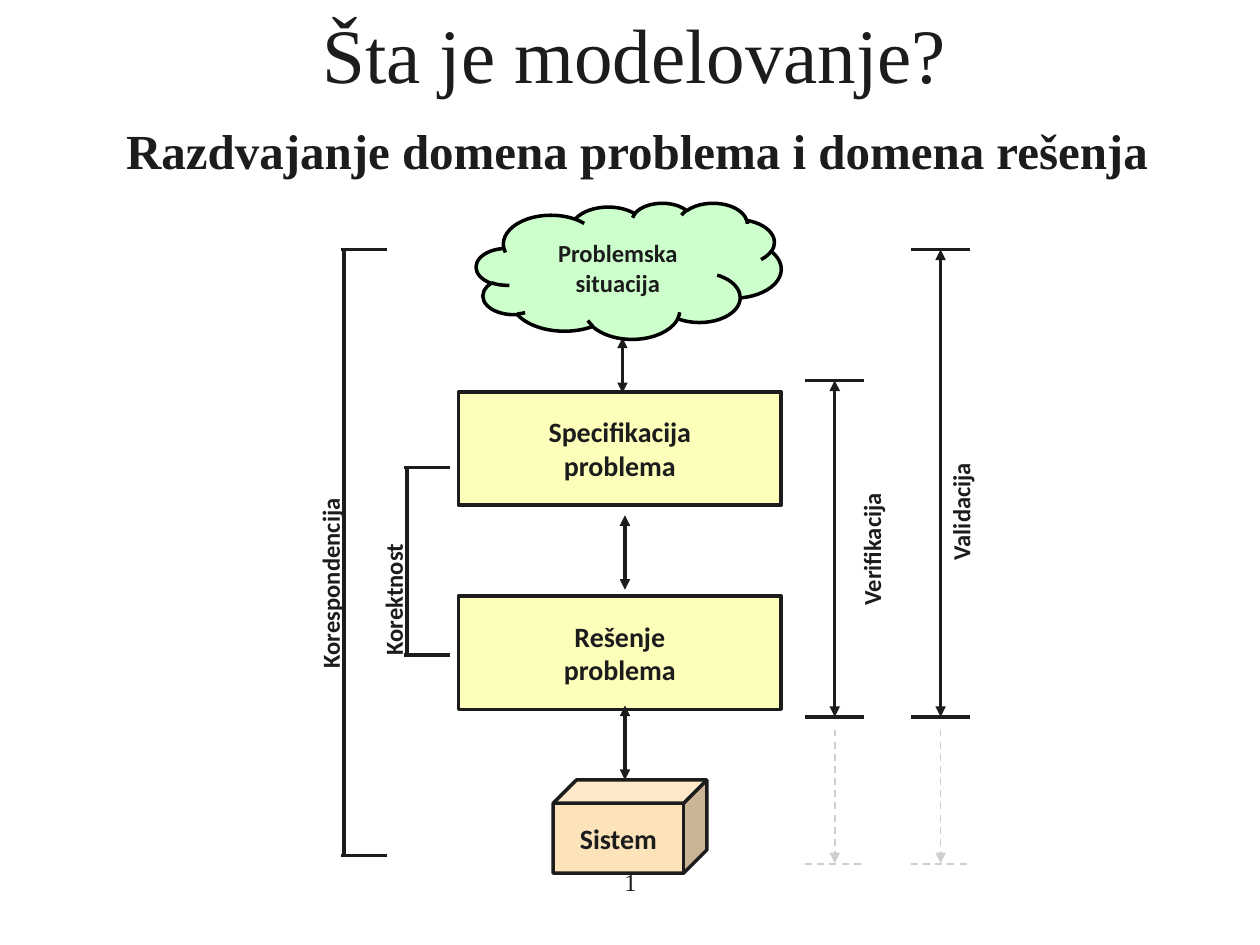
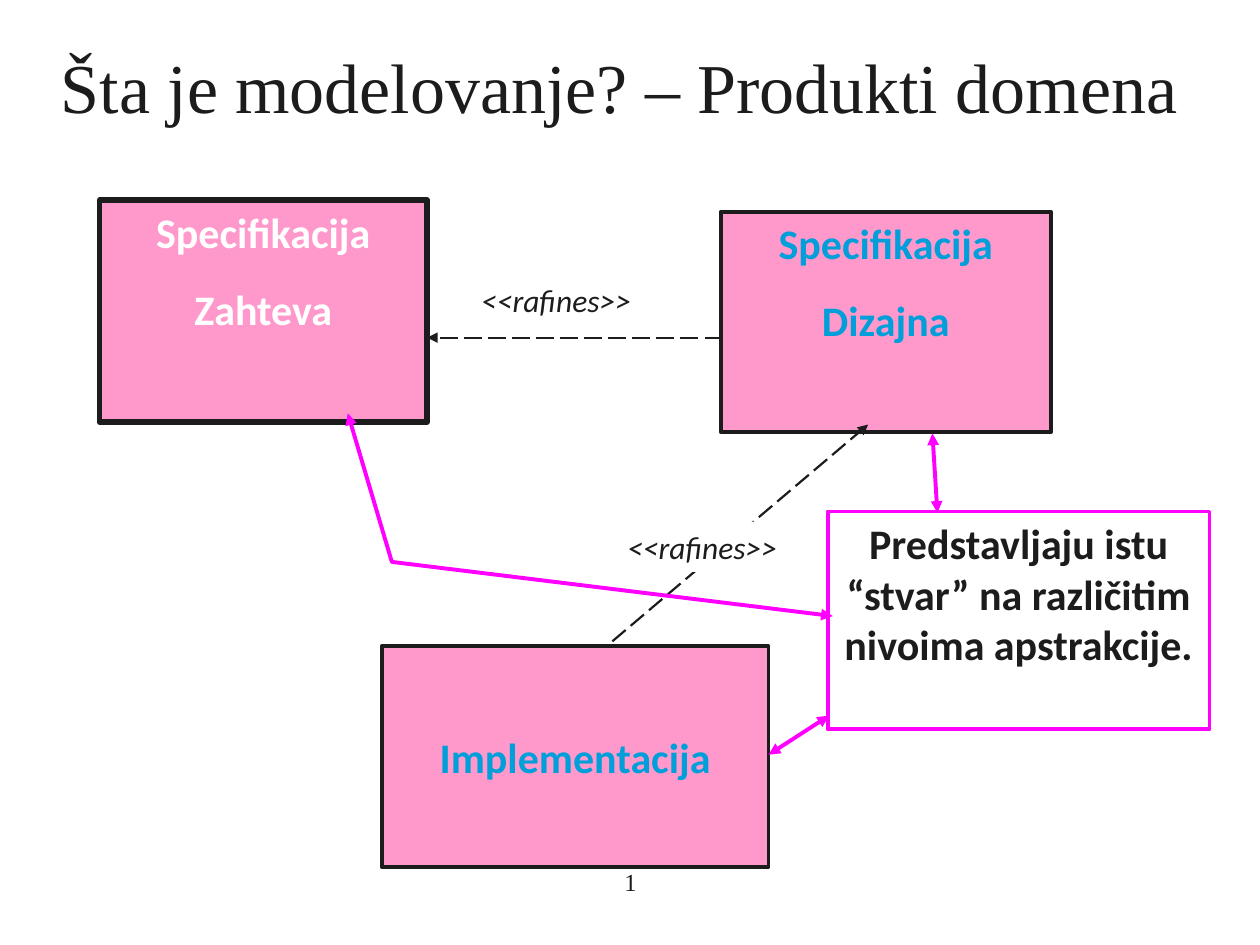
import pptx
import pptx.util
import pptx.dml.color
import pptx.enum.dml
import pptx.enum.shapes
import pptx.enum.text
import pptx.oxml.ns
import lxml.etree

Inches, Pt = pptx.util.Inches, pptx.util.Pt
SHAPE = pptx.enum.shapes.MSO_SHAPE
ANCHOR = pptx.enum.text.MSO_ANCHOR
ALIGN = pptx.enum.text.PP_ALIGN
DASH = pptx.enum.dml.MSO_LINE

C = {"black": "000000", "ink": "1C1C1C", "white": "FFFFFF", "grey": "CECECE",
     "yellow": "FCFEB9", "orange": "FDE3BA", "green": "CCFFCC",
     "pink": "FF99CC", "magenta": "FF00FF", "blue": "009FDA"}
SERIF, SANS = "Times New Roman", "Calibri"
TITLE = {"name": SERIF, "size": Pt(44)}
SUBTITLE = {"name": SERIF, "size": Pt(28), "bold": True}
NUMBER = {"name": SERIF, "size": Pt(14)}
SMALL = {"name": SANS, "size": Pt(14), "bold": True}
STAGE = {"name": SANS, "size": Pt(16), "bold": True}
PRODUCT = {"name": SANS, "size": Pt(24), "bold": True}
RELATION = {"name": SANS, "size": Pt(18), "italic": True}


def rgb(name):
    return pptx.dml.color.RGBColor.from_string(C[name])


def write(sp, text, font, color="ink", align=ALIGN.CENTER, anchor=ANCHOR.MIDDLE,
          before=0, wrap=True):
    tf = sp.text_frame
    tf.word_wrap = wrap
    tf.vertical_anchor = anchor
    for i, words in enumerate(text.split("\n")):
        p = tf.add_paragraph() if i else tf.paragraphs[0]
        p.alignment = align
        p.space_before = Pt(before)
        r = p.add_run()
        r.text = words
        r.font.color.rgb = rgb(color)
        for key, value in font.items():
            setattr(r.font, key, value)


def textbox(s, x, y, w, h, text, font, **look):
    sp = s.shapes.add_textbox(Inches(x), Inches(y), Inches(w), Inches(h))
    write(sp, text, font, **look)
    return sp


def shape(s, kind, x, y, w, h, fill=None, line=None, width=2.0):
    sp = s.shapes.add_shape(kind, Inches(x), Inches(y), Inches(w), Inches(h))
    sp.shadow.inherit = False
    if fill:
        sp.fill.solid()
        sp.fill.fore_color.rgb = rgb(fill)
    else:
        sp.fill.background()
    if line:
        sp.line.color.rgb = rgb(line)
        sp.line.width = Pt(width)
    else:
        sp.line.fill.background()
    return sp


def stroke(sp, color, width, dash, ends):
    sp.line.color.rgb = rgb(color)
    sp.line.width = Pt(width)
    if dash:
        sp.line.dash_style = dash
    ln = sp.line._get_or_add_ln()
    for end in ends:
        lxml.etree.SubElement(ln, pptx.oxml.ns.qn(f"a:{end}End"), type="triangle")


def line(s, x1, y1, x2, y2, color="ink", width=2.0, dash=None, ends=()):
    sp = s.shapes.add_connector(pptx.enum.shapes.MSO_CONNECTOR.STRAIGHT,
                                Inches(x1), Inches(y1), Inches(x2), Inches(y2))
    stroke(sp, color, width, dash, ends)
    lxml.etree.SubElement(sp._element.spPr, pptx.oxml.ns.qn("a:effectLst"))


BOTH = ("head", "tail")
TAIL = ("tail",)


def new_slide(prs, title, x, y, w, h, size):
    s = prs.slides.add_slide(prs.slide_layouts[6])
    textbox(s, x, y, w, h, title, {**TITLE, "size": Pt(size)})
    textbox(s, 3.42, 6.83, 3.17, 0.5, "1", NUMBER, anchor=ANCHOR.TOP)
    return s


def side_label(s, cx, cy, text):
    w, h = 2.0, 0.33
    sp = textbox(s, cx - w / 2, cy - h / 2, w, h, text, SMALL, wrap=False)
    sp.rotation = 270


def stages(s, x, y):
    for dy, text in ((1.5, "Specifikacija\nproblema"), (3.12, "Rešenje\nproblema")):
        sp = shape(s, SHAPE.RECTANGLE, x, y + dy, 2.56, 0.9, "yellow", "ink")
        write(sp, text, STAGE)
    system = shape(s, SHAPE.CUBE, x + 0.75, y + 4.58, 1.22, 0.74, "orange", "ink")
    write(system, "Sistem", STAGE, wrap=False)
    for dx, top, bottom in ((1.3, 1.07, 1.51), (1.32, 2.48, 3.07), (1.32, 3.99, 4.58)):
        line(s, x + dx, y + top, x + dx, y + bottom, ends=BOTH)
    cloud = shape(s, SHAPE.CLOUD, x + 0.14, y, 2.42, 1.08, "green", "black")
    write(cloud, "Problemska\nsituacija", SMALL, wrap=False)


def bracket(s, x, y, w, h, text, label_y):
    line(s, x, y, x, y + h)
    for edge in (y, y + h):
        line(s, x - 0.02, edge, x + w, edge)
    side_label(s, x - 0.11, y + label_y, text)


def span(s, x, y, w, h, text, label_x, label_y):
    mid, bottom = x + w / 2, y + h
    for edge in (y, bottom):
        line(s, x, edge, x + w, edge)
    line(s, mid, y, mid, bottom, ends=BOTH)
    faint = {"color": "grey", "width": 1.0, "dash": DASH.DASH}
    line(s, mid, bottom + 0.1, mid, bottom + 1.16, ends=TAIL, **faint)
    line(s, x, bottom + 1.17, x + w, bottom + 1.17, **faint)
    side_label(s, mid + label_x, y + label_y, text)


def product(s, x, y, w, h, text, color="blue", width=2.25, anchor=ANCHOR.TOP):
    sp = shape(s, SHAPE.RECTANGLE, x, y, w, h, "pink", "ink", width)
    write(sp, text, PRODUCT, color, anchor=anchor, before=15)


def relation(s, x, y):
    sp = shape(s, SHAPE.RECTANGLE, x, y, 1.75, 0.4, "white")
    write(sp, "<<rafines>>", RELATION, align=ALIGN.LEFT)


def refinement(s, x, y):
    product(s, x, y, 2.6, 1.76, "Specifikacija\nZahteva", "white", 3.25)
    product(s, x + 4.93, y + 0.09, 2.62, 1.75, "Specifikacija\nDizajna")
    product(s, x + 2.24, y + 3.54, 3.07, 1.75, "Implementacija", anchor=ANCHOR.MIDDLE)
    for x1, y1, x2, y2 in ((4.94, 1.09, 2.6, 1.09), (4.07, 3.5, 6.1, 1.78)):
        line(s, x + x1, y + y1, x + x2, y + y2, width=1.25, dash=DASH.LONG_DASH, ends=TAIL)
    relation(s, x + 4.09, y + 2.55)
    relation(s, x + 2.93, y + 0.59)


def remark(s, x, y, w, h):
    sp = shape(s, SHAPE.RECTANGLE, x, y, w, h, None, "magenta", 2.25)
    write(sp, "Predstavljaju istu “stvar” na različitim nivoima apstrakcije.",
          PRODUCT, anchor=ANCHOR.TOP, before=15)
    for x1, y1, x2, y2 in ((0.01, 1.62, -0.47, 1.93), (0.83, -0.62, 0.87, 0.01)):
        line(s, x + x1, y + y1, x + x2, y + y2, "magenta", 2.25, ends=BOTH)
    points = [(Inches(x + dx), Inches(y + dy))
              for dx, dy in ((0.04, 0.83), (-3.46, 0.4), (-3.81, -0.78))]
    builder = s.shapes.build_freeform(*points[0])
    builder.add_line_segments(points[1:], close=False)
    link = builder.convert_to_shape()
    link.shadow.inherit = False
    link.fill.background()
    stroke(link, "magenta", 2.25, None, BOTH)


def domains_slide(prs):
    s = new_slide(prs, "Šta je modelovanje? ", 0.5, 0, 9.23, 0.84, 44)
    textbox(s, 0.43, 0.91, 9.25, 0.6, "Razdvajanje domena problema i domena rešenja",
            SUBTITLE, anchor=ANCHOR.TOP)
    stages(s, 3.64, 1.61)
    bracket(s, 2.73, 1.98, 0.34, 4.81, "Korespondencija", 2.65)
    bracket(s, 3.23, 3.71, 0.34, 1.49, "Korektnost", 1.05)
    span(s, 6.39, 3.02, 0.47, 2.67, "Verifikacija", 0.29, 1.34)
    span(s, 7.23, 1.98, 0.47, 3.71, "Validacija", 0.16, 2.08)


def products_slide(prs):
    s = new_slide(prs, "Šta je modelovanje? – Produkti domena", 0.27, 0.21, 9.29, 0.94, 40)
    refinement(s, 0.79, 1.59)
    remark(s, 6.57, 4.06, 3.03, 1.73)


prs = pptx.Presentation()
prs.slide_width, prs.slide_height = Inches(10), Inches(7.5)
domains_slide(prs)
products_slide(prs)
prs.save("out.pptx")
